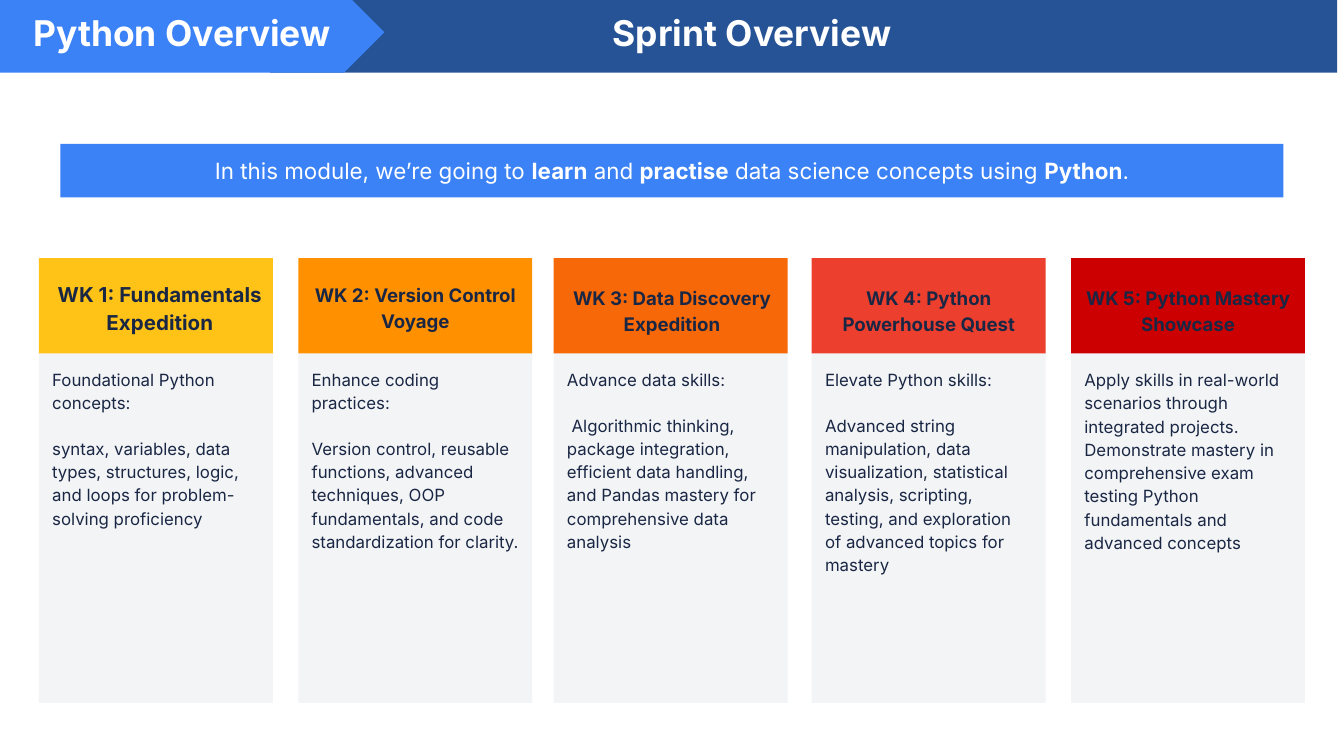
from pptx import Presentation
from pptx.dml.color import RGBColor
from pptx.enum.shapes import MSO_SHAPE
from pptx.enum.text import MSO_ANCHOR, MSO_AUTO_SIZE, PP_ALIGN
from pptx.util import Inches, Pt

NAVY, WHITE, BLUE, GREY = "1A2744", "FFFFFF", "3B82F6", "F3F4F6"


def paint(fill, color):
    fill.solid()
    fill.fore_color.rgb = RGBColor.from_string(color)


def write(shape, paras, size, color, align, inset=0.1, anchor=MSO_ANCHOR.TOP, space=1.0):
    """Fill a shape with paragraphs, each a list of (text, bold) runs."""
    frame = shape.text_frame
    frame.word_wrap = True
    frame.auto_size = MSO_AUTO_SIZE.NONE
    frame.vertical_anchor = anchor
    frame.margin_left = frame.margin_right = Inches(inset)
    frame.margin_top = frame.margin_bottom = Inches(inset)
    for i, runs in enumerate(paras):
        para = frame.add_paragraph() if i else frame.paragraphs[0]
        para.alignment = align
        para.line_spacing = space
        para.space_before = Pt(12 if i else 0)
        for text, bold in runs:
            run = para.add_run()
            run.text = text
            run.font.name = "Inter"
            run.font.size = Pt(size)
            run.font.bold = bold
            paint(run.font.fill, color)


prs = Presentation()
prs.slide_width = Inches(10)
prs.slide_height = prs.slide_width * 9 // 16
slide = prs.slides.add_slide(prs.slide_layouts[5])
shapes = slide.shapes

# Header: title bar with the module arrow over its left end
title = shapes.title
title.left, title.top = Inches(2.01), Inches(-0.06)
title.width, title.height = Inches(7.94), Inches(0.6)
paint(title.fill, "265396")
write(title, [[("Sprint Overview", True)]], 19, WHITE, PP_ALIGN.LEFT, 0.03, MSO_ANCHOR.MIDDLE)
title.text_frame.margin_left = Inches(0.55)
props = title.text_frame.paragraphs[0]._p.get_or_add_pPr()
props.set("marL", str(Inches(1.5)))
props.set("indent", str(Inches(0.5)))

arrow = shapes.add_shape(MSO_SHAPE.PENTAGON, Inches(0), Inches(-0.06), Inches(2.86), Inches(0.6))
arrow.adjustments[0] = 0.5
banner = shapes.add_shape(MSO_SHAPE.RECTANGLE, Inches(0.45), Inches(1.07), Inches(9.1), Inches(0.4))
for shape in (arrow, banner):
    shape.shadow.inherit = False
    paint(shape.fill, BLUE)
    shape.line.fill.background()
write(arrow, [[("Python Overview", True)]], 19, WHITE, PP_ALIGN.CENTER, 0.08, MSO_ANCHOR.MIDDLE)
intro = [
    ("In this module, we’re going to ", False),
    ("learn", True),
    (" and ", False),
    ("practise", True),
    (" data science concepts using ", False),
    ("Python", True),
    (".", False),
]
write(banner, [intro], 12, WHITE, PP_ALIGN.CENTER)

# Week cards: left, heading, its size, left and top, colour, text width, paragraphs
weeks = [
    (0.29, "WK 1: Fundamentals Expedition", 11, 0.32, 1.97, "FFC217", 1.74, [
        "Foundational Python concepts:",
        "syntax, variables, data types, structures, logic, and loops for "
        "problem-solving proficiency"]),
    (2.22, "WK 2: Version Control Voyage", 10, 2.22, 1.99, "FF9100", 1.74, [
        "Enhance coding practices:",
        "Version control, reusable functions, advanced techniques, OOP "
        "fundamentals, and code standardization for clarity."]),
    (4.12, "WK 3: Data Discovery Expedition", 10, 4.13, 2.01, "F76808", 1.74, [
        "Advance data skills:",
        " Algorithmic thinking, package integration, efficient data handling, "
        "and Pandas mastery for comprehensive data analysis"]),
    (6.04, "WK 4: Python Powerhouse Quest", 10, 6.04, 2.01, "ED3F2E", 1.72, [
        "Elevate Python skills:",
        "Advanced string manipulation, data visualization, statistical analysis, "
        "scripting, testing, and exploration of advanced topics for mastery"]),
    (7.97, "WK 5: Python Mastery Showcase", 10, 7.97, 2.01, "CC0000", 1.74, [
        "Apply skills in real-world scenarios through integrated projects. "
        "Demonstrate mastery in comprehensive exam testing Python fundamentals "
        "and advanced concepts"]),
]
wide = Inches(1.74)
for left, head, size, start, top, color, span, body in weeks:
    for y, high, tint in ((2.59, 2.64, GREY), (1.92, 0.71, color)):
        card = shapes.add_shape(MSO_SHAPE.RECTANGLE, Inches(left), Inches(y), wide, Inches(high))
        card.shadow.inherit = False
        paint(card.fill, tint)
        card.line.fill.background()
    label = shapes.add_textbox(Inches(start), Inches(top), wide, Inches(0.56))
    write(label, [[(head, True)]], size, NAVY, PP_ALIGN.CENTER, space=1.15)
    high = Inches(1.74 if "2:" in head or "4:" in head else 1.57)
    detail = shapes.add_textbox(Inches(left), Inches(2.63), Inches(span), high)
    write(detail, [[(text, False)] for text in body], 9, NAVY, PP_ALIGN.LEFT, space=1.15)

prs.save("out.pptx")
